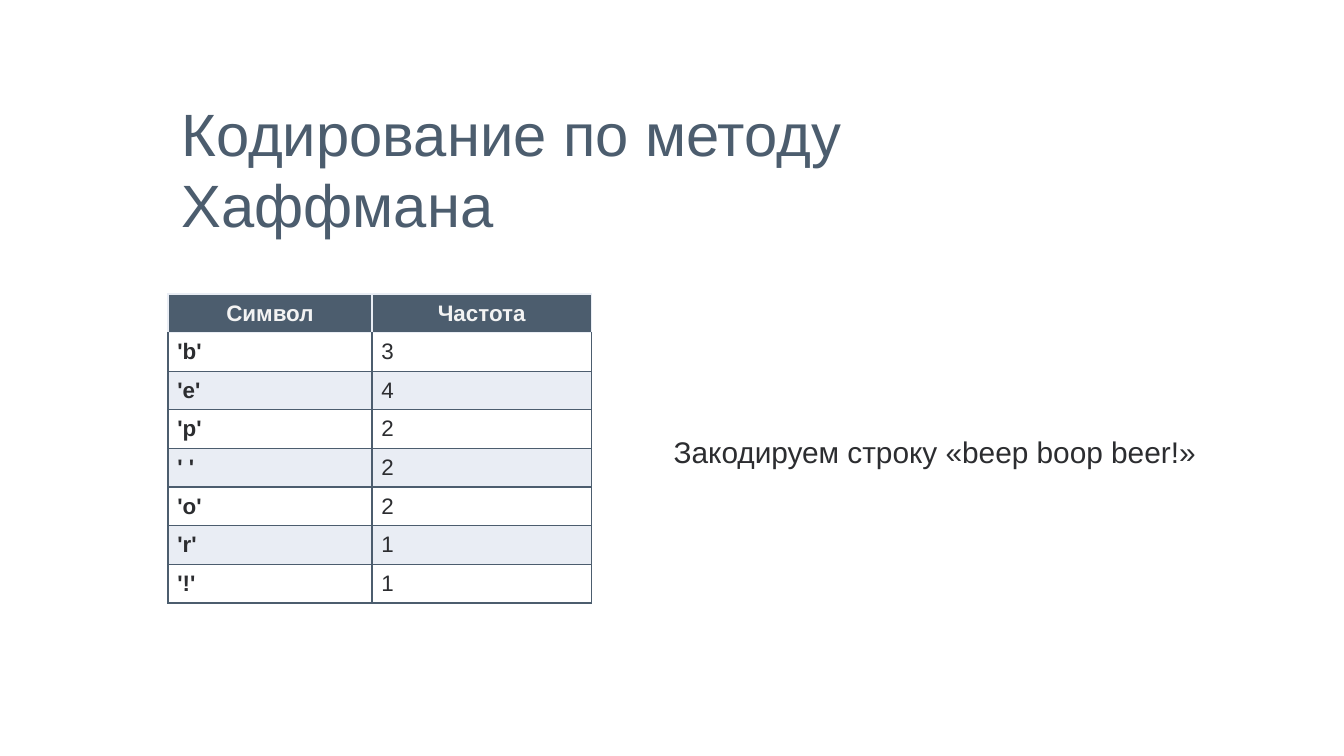
"""Build a slide on Huffman coding with a table of symbol frequencies."""
from lxml import etree
from pptx import Presentation
from pptx.dml.color import RGBColor
from pptx.enum.text import MSO_ANCHOR, MSO_AUTO_SIZE, PP_ALIGN
from pptx.oxml.ns import qn
from pptx.util import Inches, Pt

LEFT, CENTER = PP_ALIGN.LEFT, PP_ALIGN.CENTER
MIDDLE, TOP = MSO_ANCHOR.MIDDLE, MSO_ANCHOR.TOP
NO_FIT = MSO_AUTO_SIZE.NONE

SLATE = RGBColor(0x4C, 0x5D, 0x6E)
INK = RGBColor(0x2C, 0x2D, 0x30)
PALE = RGBColor(0xE9, 0xED, 0xF4)
LIGHT = RGBColor(0xF3, 0xF3, 0xF3)

COLUMNS, ROWS = 16, 9
UNIT = Inches(10) // COLUMNS

HEADERS = ("Символ", "Частота")
FREQUENCIES = (
    ("'b'", 3), ("'e'", 4), ("'p'", 2), ("' '", 2),
    ("'o'", 2), ("'r'", 1), ("'!'", 1),
)


class SlideBuilder:
    """Hold the style and the current slide, measured in grid units."""

    font = "Arial"
    border_width = Pt(0.75)

    def __init__(self, presentation):
        self.slide = presentation.slides.add_slide(presentation.slide_layouts[1])

    def style(self, paragraph, size, color, bold=False, align=LEFT):
        paragraph.alignment = align
        for run in paragraph.runs:
            run.font.name = self.font
            run.font.size = Pt(size)
            run.font.bold = bold
            run.font.color.rgb = color

    def placeholder(self, shape, text, box, size, color):
        shape.left, shape.top, shape.width, shape.height = (
            round(length * UNIT) for length in box)
        frame = shape.text_frame
        frame.text = text
        frame.word_wrap = True
        frame.auto_size = NO_FIT
        frame.vertical_anchor = MIDDLE
        frame.margin_left = frame.margin_right = Inches(0.1)
        frame.margin_top = frame.margin_bottom = Inches(0.1)
        paragraph = frame.paragraphs[0]
        paragraph.space_before = Pt(0)
        self.style(paragraph, size, color)
        return paragraph

    def title(self, text, box):
        self.placeholder(self.slide.shapes.title, text, box, 32, SLATE)

    def body(self, text, box):
        paragraph = self.placeholder(self.slide.placeholders[1], text, box, 16, INK)
        properties = paragraph._p.get_or_add_pPr()
        properties.set("marL", "0")
        properties.set("indent", "0")
        etree.SubElement(properties, qn("a:buNone"))

    def borders(self, cell, colors):
        properties = cell._tc.get_or_add_tcPr()
        for side, color in zip("LRTB", colors):
            line = etree.SubElement(
                properties, qn(f"a:ln{side}"), w=str(self.border_width))
            fill = etree.SubElement(line, qn("a:solidFill"))
            etree.SubElement(fill, qn("a:srgbClr"), val=str(color))

    def cell(self, cell, text, row, column):
        header = row == 0
        cell.text_frame.text = str(text)
        cell.vertical_anchor = TOP
        cell.margin_left = cell.margin_right = Inches(0.07)
        cell.margin_top = cell.margin_bottom = Inches(0.05)
        self.style(cell.text_frame.paragraphs[0], 12, LIGHT if header else INK,
                   header or column == 0, CENTER if header else LEFT)
        edge = PALE if header else SLATE
        top = PALE if row <= 1 else SLATE
        self.borders(cell, (edge, edge, top, edge))
        if header or row % 2 == 0:
            cell.fill.solid()
            cell.fill.fore_color.rgb = SLATE if header else PALE
        else:
            cell.fill.background()

    def table(self, rows, left, top, widths, row_height):
        frame = self.slide.shapes.add_table(
            len(rows), len(widths), round(left * UNIT), round(top * UNIT),
            round(sum(widths) * UNIT), round(len(rows) * row_height * UNIT))
        table = frame.table
        for column, width in zip(table.columns, widths):
            column.width = round(width * UNIT)
        for row, values in enumerate(rows):
            for column, value in enumerate(values):
                self.cell(table.cell(row, column), value, row, column)


def main():
    presentation = Presentation()
    presentation.slide_width = COLUMNS * UNIT
    presentation.slide_height = ROWS * UNIT
    builder = SlideBuilder(presentation)
    builder.title("Кодирование по методу Хаффмана", (2, 1, 12, 2))
    builder.body("Закодируем строку «beep boop beer!»", (7.86, 3.48, 7.06, 3.8))
    builder.table((HEADERS, *FREQUENCIES), 2, 3.5, (2.43, 2.61), 0.46)
    presentation.save("out.pptx")


if __name__ == "__main__":
    main()
